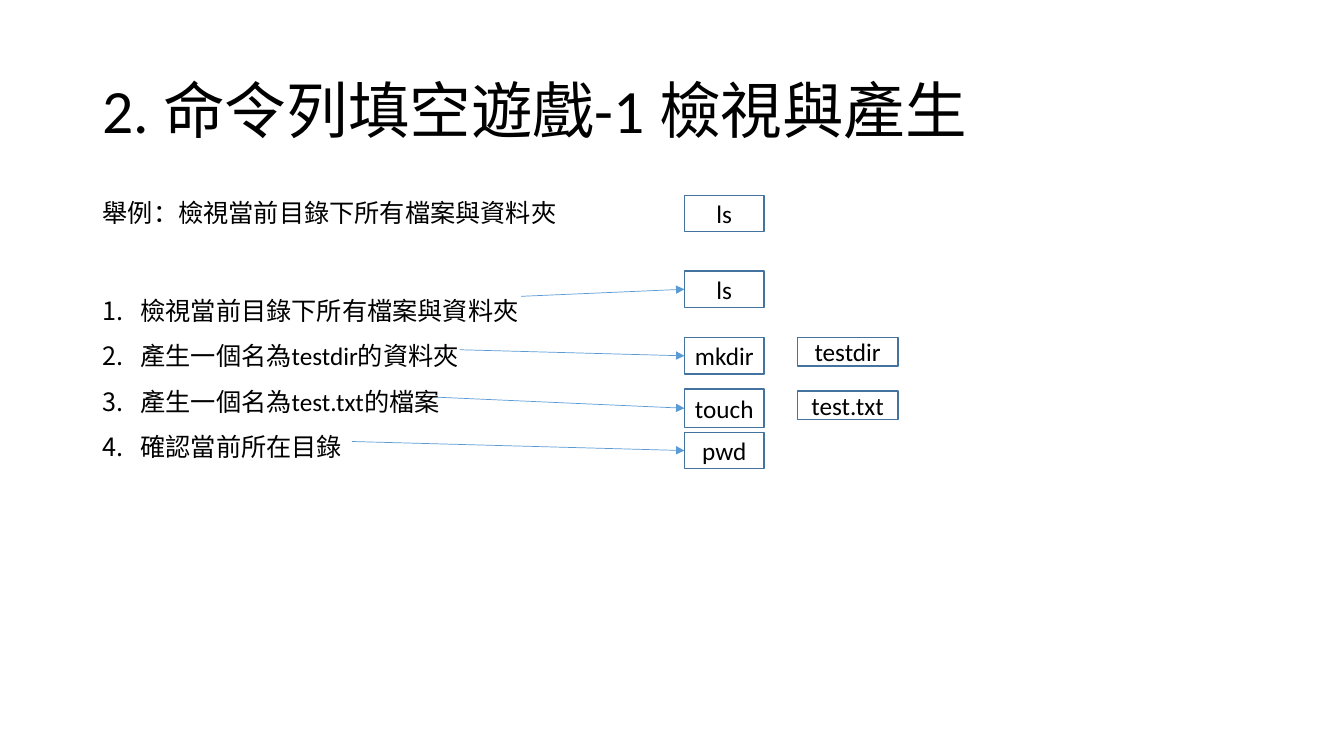
from dataclasses import dataclass

from lxml import etree
from pptx import Presentation
from pptx.dml.color import RGBColor
from pptx.enum import shapes as sh, text as tx
from pptx.oxml import ns
from pptx.util import Pt


@dataclass(frozen=True)
class Theme:
    font: str = "Calibri"
    ink: str = "000000"
    paper: str = "FFFFFF"
    edge: str = "43739E"
    arrow: str = "5B9BD5"
    title: float = 44
    body: float = 18


THEME = Theme()
LEFT = 66.24
CMD_X, CMD_W = 488.88, 56.88
ARG_X, ARG_W, ARG_H = 569.52, 72, 20.16

TASKS = [
    "檢視當前目錄下所有檔案與資料夾",
    "產生一個名為testdir的資料夾",
    "產生一個名為test.txt的檔案",
    "確認當前所在目錄",
]
# Command, top, height, arrow start
CMDS = [
    ("ls", 193.68, 25.92, (372.24, 211.68)),
    ("mkdir", 241.2, 25.92, (328.32, 249.84)),
    ("touch", 277.92, 27.36, (311.04, 283.68)),
    ("pwd", 308.88, 25.92, (251.28, 315.36)),
]
ARGS = [("testdir", 241.2), ("test.txt", 279.36)]


def color(code):
    return RGBColor.from_string(code)


def write(frame, lines, size=THEME.body, align=tx.PP_ALIGN.LEFT,
          anchor=tx.MSO_ANCHOR.TOP, wrap=True, space=1.0, indent=0):
    """Fill a text frame; an indent makes the lines a numbered list."""
    frame.word_wrap = wrap
    frame.vertical_anchor = anchor
    for i, line in enumerate(lines):
        para = frame.paragraphs[0] if i == 0 else frame.add_paragraph()
        para.alignment = align
        para.line_spacing = space
        run = para.add_run()
        run.text = line
        font = run.font
        font.name, font.size = THEME.font, Pt(size)
        font.color.rgb = color(THEME.ink)
        if indent:
            props = para._p.get_or_add_pPr()
            props.set("marL", str(Pt(indent)))
            props.set("indent", str(-Pt(indent)))
            face = etree.SubElement(props, ns.qn("a:buFont"))
            face.set("typeface", "+mj-lt")
            num = etree.SubElement(props, ns.qn("a:buAutoNum"))
            num.set("type", "arabicPeriod")


def label(slide, x, y, w, h, lines, **form):
    area = slide.shapes.add_textbox(Pt(x), Pt(y), Pt(w), Pt(h))
    write(area.text_frame, lines, **form)


def box(slide, x, y, w, h, word):
    rect = slide.shapes.add_shape(
        sh.MSO_SHAPE.RECTANGLE, Pt(x), Pt(y), Pt(w), Pt(h))
    rect.shadow.inherit = False
    rect.fill.solid()
    rect.fill.fore_color.rgb = color(THEME.paper)
    rect.line.color.rgb = color(THEME.edge)
    rect.line.width = Pt(1)
    write(rect.text_frame, [word], align=tx.PP_ALIGN.CENTER,
          anchor=tx.MSO_ANCHOR.MIDDLE, wrap=False)
    return rect


def arrow(slide, start, goal):
    """Draw an arrow from a point to the left side of a box."""
    x, y = map(Pt, start)
    link = slide.shapes.add_connector(
        sh.MSO_CONNECTOR.STRAIGHT, x, y, goal.left, goal.top)
    link.end_connect(goal, 1)
    link.line.color.rgb = color(THEME.arrow)
    link.line.width = Pt(0.5)
    tip = etree.SubElement(link.line._get_or_add_ln(), ns.qn("a:tailEnd"))
    tip.set("type", "triangle")
    etree.SubElement(link._element.spPr, ns.qn("a:effectLst"))


def main():
    deck = Presentation()
    deck.slide_width, deck.slide_height = Pt(960), Pt(540)
    slide = deck.slides.add_slide(deck.slide_layouts[6])

    # Title
    label(slide, LEFT, 28.8, 828, 104.4, ["2. 命令列填空遊戲-1 檢視與產生"],
          size=THEME.title, anchor=tx.MSO_ANCHOR.MIDDLE, space=0.9)

    # Worked example
    label(slide, LEFT, 137.52, 385.92, 28.8,
          ["舉例：檢視當前目錄下所有檔案與資料夾"])
    box(slide, CMD_X, 139.68, CMD_W, 25.92, "ls")

    # Tasks
    label(slide, LEFT, 196.56, 385.92, 138.24, TASKS, space=1.5, indent=27)

    # Answers
    for word, top, high, start in CMDS:
        arrow(slide, start, box(slide, CMD_X, top, CMD_W, high, word))
    for word, top in ARGS:
        box(slide, ARG_X, top, ARG_W, ARG_H, word)

    deck.save("out.pptx")


if __name__ == "__main__":
    main()
